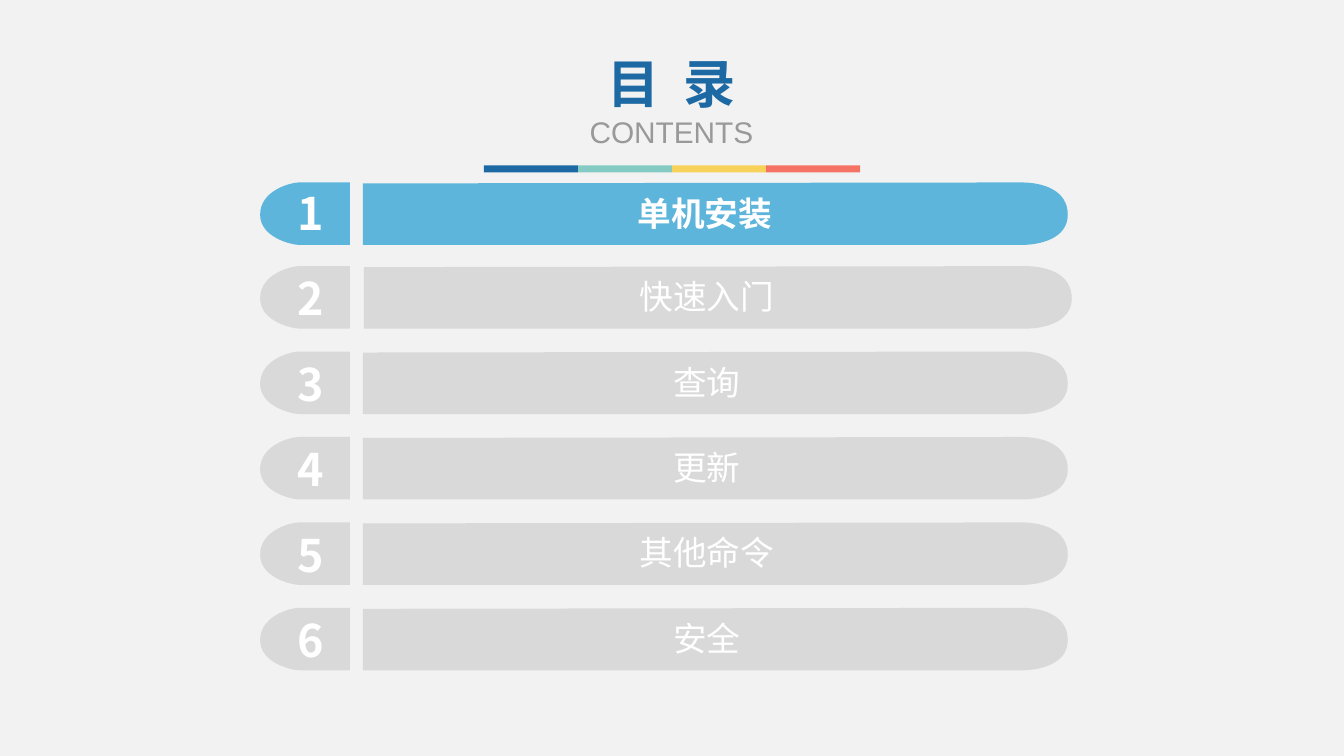
from lxml.etree import SubElement
from pptx import Presentation
from pptx.dml.color import RGBColor
from pptx.enum.shapes import MSO_SHAPE as Shape
from pptx.enum.text import MSO_ANCHOR as Anchor, MSO_AUTO_SIZE as AutoSize, PP_ALIGN as Align
from pptx.oxml.ns import qn
from pptx.util import Inches, Pt

BACKGROUND = RGBColor(0xF2, 0xF2, 0xF2)
NAVY = RGBColor(0x1D, 0x69, 0xA3)
TEAL = RGBColor(0x84, 0xCB, 0xC3)
YELLOW = RGBColor(0xF8, 0xD1, 0x58)
CORAL = RGBColor(0xF5, 0x73, 0x65)
ACTIVE = RGBColor(0x5D, 0xB5, 0xDB)
INACTIVE = RGBColor(0xD9, 0xD9, 0xD9)
GRAY = RGBColor(0x99, 0x99, 0x99)
WHITE = RGBColor(0xFF, 0xFF, 0xFF)

CJK_FONT = "Noto Sans CJK SC"
CHAPTERS = ["单机安装", "快速入门", "查询", "更新", "其他命令", "安全"]
ROW_PITCH = (6.03 - 2.64) / 4
ROW_TOPS = [1.81] + [2.64 + ROW_PITCH * i for i in range(5)]
ROW_HEIGHT = 0.62


def write_text(paragraph, text, size, color, font=CJK_FONT, bold=False):
    """Add one centred, formatted run to a paragraph."""
    paragraph.alignment = Align.CENTER
    run = paragraph.add_run()
    run.text = text
    run.font.name = font
    run.font.size = Pt(size)
    run.font.bold = bold
    run.font.color.rgb = color
    SubElement(run.font._element, qn("a:ea"), typeface=CJK_FONT)


def add_label(group, left, top, width, height, text, wrap=True, **text_format):
    frame = group.shapes.add_textbox(
        Inches(left), Inches(top), Inches(width), Inches(height)).text_frame
    frame.word_wrap = wrap
    write_text(frame.paragraphs[0], text, color=WHITE, **text_format)


def paint(shape, color):
    shape.shadow.inherit = False
    shape.fill.solid()
    shape.fill.fore_color.rgb = color
    shape.line.fill.background()


def add_outline(group, start, segments, color):
    """Closed outline; a segment is one point (line) or three (Bezier curve)."""
    builder = group.shapes.build_freeform(Inches(start[0]), Inches(start[1]), scale=1.0)
    points = [(Inches(x), Inches(y)) for segment in segments for x, y in segment]
    builder.add_line_segments(points, close=True)
    shape = builder.convert_to_shape()

    # Merge the three points of each curve into one curve element
    lines = iter(list(shape._element.iter(qn("a:lnTo"))))
    for segment in segments:
        first, *others = [next(lines) for _ in segment]
        if others:
            first.tag = qn("a:cubicBezTo")
            for line in others:
                first.append(line[0])
                line.getparent().remove(line)
    paint(shape, color)


def add_number_cap(group, top, color):
    """Half pill, rounded on the left."""
    bottom, middle = top + ROW_HEIGHT, top + 0.32
    add_outline(group, (3.47, top), [
        [(3.47, bottom)],
        [(2.97, bottom)],
        [(2.9, bottom), (2.58, bottom - 0.07), (2.58, middle)],
        [(2.58, top + 0.08), (2.88, top), (2.97, top)],
    ], color)


def add_chapter_bar(group, top, left, right, color):
    """Long bar, rounded on the right."""
    bottom, middle, bend = top + ROW_HEIGHT, top + 0.32, right - 0.46
    add_outline(group, (left, top + 0.01), [
        [(left, bottom)],
        [(bend, bottom)],
        [(bend + 0.18, bottom), (right, bottom - 0.06), (right, middle)],
        [(right, top + 0.08), (bend + 0.22, top), (bend, top)],
    ], color)


def add_heading(slide):
    title = slide.shapes.title
    title.left, title.top = Inches(5.58), Inches(0.46)
    title.width, title.height = Inches(2.16), Inches(1.09)
    frame = title.text_frame
    frame.auto_size = AutoSize.NONE
    frame.vertical_anchor = Anchor.TOP
    frame.word_wrap = True
    write_text(frame.paragraphs[0], "目  录", 37.3, NAVY, font="Arial Narrow", bold=True)
    write_text(frame.add_paragraph(), "CONTENTS", 21.3, GRAY, font="Arial")


def add_color_strip(slide):
    group = slide.shapes.add_group_shape()
    width = 3.73 / 4
    for i, color in enumerate((NAVY, TEAL, YELLOW, CORAL)):
        paint(group.shapes.add_shape(Shape.RECTANGLE, Inches(4.8 + i * width), Inches(1.64),
                                     Inches(width), Inches(0.07)), color)


def add_chapter(slide, number, chapter, top):
    group = slide.shapes.add_group_shape()
    active = number == 1
    color = ACTIVE if active else INACTIVE
    left, right = (3.61, 10.63) if number == 2 else (3.6, 10.59)
    number_top = top - 0.02 if active else top
    label_width = 6.7 if active else 6.74
    add_chapter_bar(group, top, left, right, color)
    add_number_cap(group, top, color)
    add_label(group, 2.84, number_top, 0.48, 0.64, str(number), wrap=False, size=32, bold=True)
    add_label(group, 3.64, top + 0.05, label_width, 0.5, chapter, size=24, bold=active)


def main():
    presentation = Presentation()
    presentation.slide_width = Inches(13.33)
    presentation.slide_height = Inches(7.5)
    slide = presentation.slides.add_slide(presentation.slide_layouts[5])
    slide.background.fill.solid()
    slide.background.fill.fore_color.rgb = BACKGROUND

    # Heading with its colour strip
    add_color_strip(slide)
    add_heading(slide)

    # Chapter rows, the first one highlighted
    for number, (chapter, top) in enumerate(zip(CHAPTERS, ROW_TOPS), start=1):
        add_chapter(slide, number, chapter, top)

    presentation.save("out.pptx")


if __name__ == "__main__":
    main()
